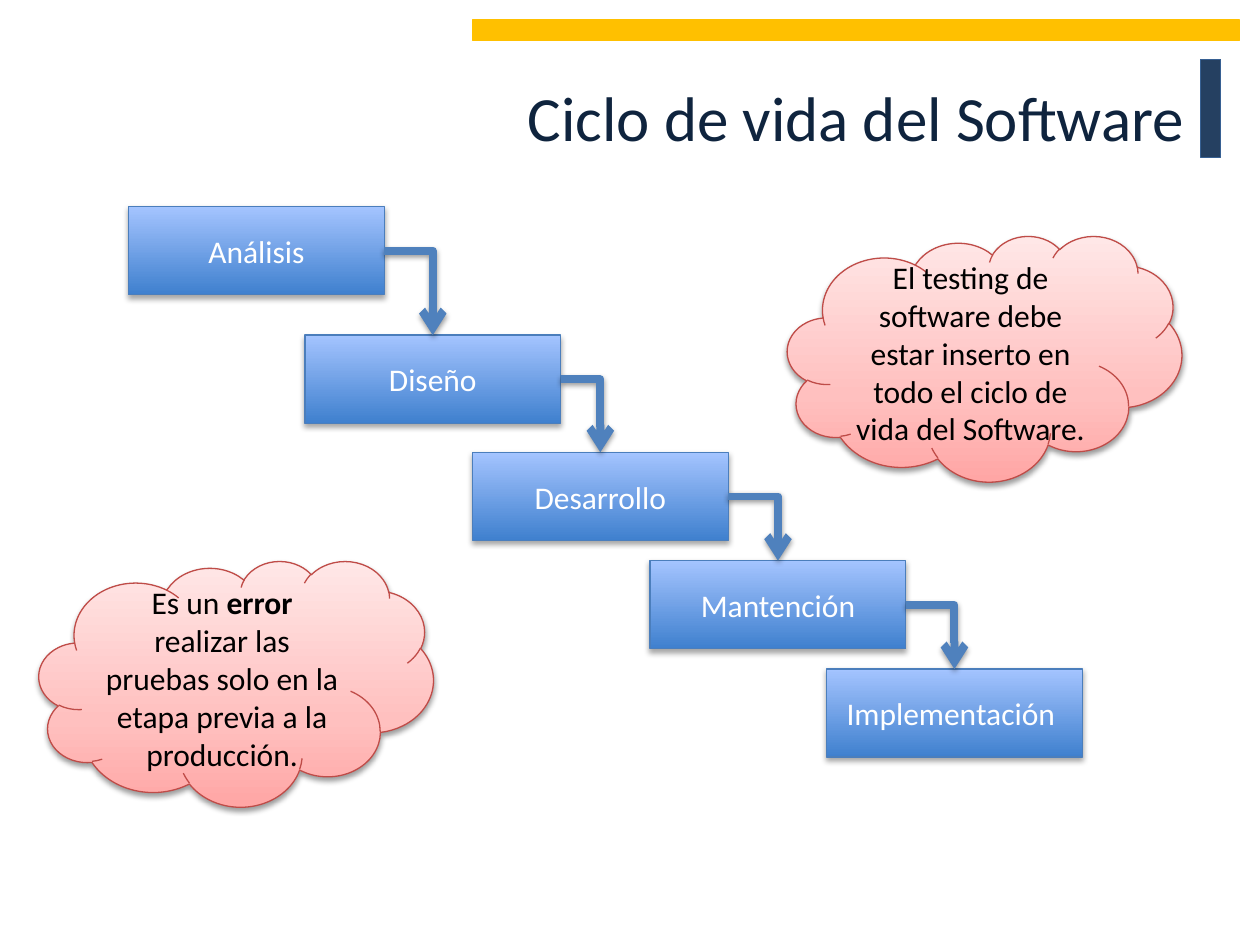
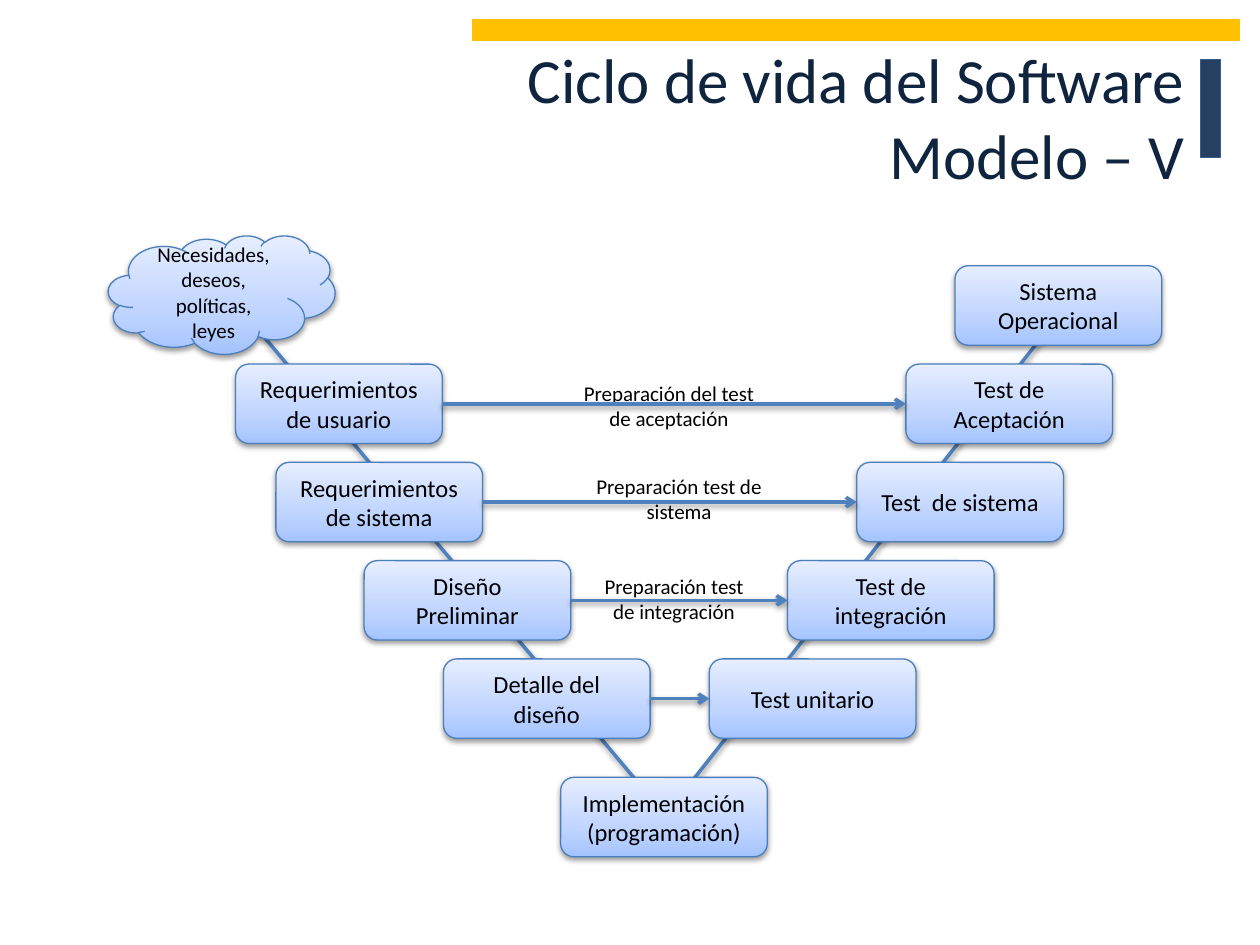
from lxml import etree
from pptx import Presentation
from pptx.dml.color import RGBColor
from pptx.enum.shapes import MSO_CONNECTOR, MSO_SHAPE
from pptx.enum.text import MSO_ANCHOR, MSO_AUTO_SIZE, PP_ALIGN
from pptx.oxml.ns import qn
from pptx.util import Inches, Pt

RECT, ROUNDED, CLOUD = MSO_SHAPE.RECTANGLE, MSO_SHAPE.ROUNDED_RECTANGLE, MSO_SHAPE.CLOUD
STRAIGHT, ELBOW = MSO_CONNECTOR.STRAIGHT, MSO_CONNECTOR.ELBOW
CENTER, RIGHT = PP_ALIGN.CENTER, PP_ALIGN.RIGHT
TOP_SIDE, LEFT_SIDE, RIGHT_SIDE = 0, 1, 3
TITLE_ONLY = 5

# Content: waterfall slide
WATERFALL_TITLE = "Ciclo de vida del Software"
STEPS = [  # text, left, top
    ("Análisis", 1.02, 1.64),
    ("Diseño", 2.42, 2.66),
    ("Desarrollo", 3.75, 3.59),
    ("Mantención", 5.16, 4.45),
    ("Implementación ", 6.56, 5.31),
]
REMARKS = [  # runs (text, bold), left, top
    ([("Es un ", False), ("error", True),
      (" realizar las pruebas solo en la etapa previa a la producción.", False)], 0.31, 4.45),
    ([("El testing de software debe estar inserto en todo el ciclo de vida del Software.",
       False)], 6.25, 1.87),
]

# Content: V model slide
V_TITLE = "Ciclo de vida del Software\vModelo – V"
NEEDS = "Necesidades, deseos, políticas, leyes"
LEVELS = [  # design phase, left, test phase, left
    ("Requerimientos de usuario", 1.87, "Test de Aceptación", 7.19),
    ("Requerimientos de sistema", 2.19, "Test  de sistema", 6.8),
    ("Diseño Preliminar", 2.89, "Test de integración", 6.25),
    ("Detalle del diseño", 3.52, "Test unitario", 5.63),
]
VERTEX = ("Implementación (programación)", 4.45, 6.17)
OPERATION = ("Sistema\nOperacional", 7.58, 2.11)
PREPARATIONS = [  # text, left, top, width
    ("Preparación del test de aceptación", 4.53, 2.97, 1.56),
    ("Preparación test de sistema", 4.61, 3.71, 1.56),
    ("Preparación test de integración", 4.61, 4.5, 1.48),
]
V_ARMS = [(8.28, 2.66, 5.39, 6.33), (1.95, 2.5, 5.23, 6.41)]

# Layout rules, in inches
STEP_SIZE, REMARK_SIZE, PHASE_SIZE = (2.03, 0.7), (3.13, 1.95), (1.64, 0.63)
LEVEL_TOP, LEVEL_PITCH = 2.89, 0.78


class Theme:
    font = "Calibri"
    title, text, text_on_step = "0F243E", "000000", "FFFFFF"
    connector = "4F81BD"
    title_size, step_size, phase_size, label_size = 36, 18, 14, 12
    outline = 0.75
    shadow_blur = 3.15
    # Gradient stops run from bottom to top; shadow is (opacity %, distance)
    step = {"stops": [(0, "3F80CE"), (100, "A4C4FF")], "line": "4B7EBC", "shadow": (35, 1.8)}
    phase = {"stops": [(0, "A4C4FF"), (35, "BFD4FF"), (100, "E6EEFF")],
             "line": "4B7EBC", "shadow": (38, 1.6)}
    remark = {"stops": [(0, "FFA6A5"), (35, "FFC0BF"), (100, "FFE7E7")],
              "line": "BF4C48", "shadow": (38, 1.6)}
    bands = [  # fill, line, box
        ("254061", "376092", (9.53, 0.47, 0.16, 0.78)),
        ("FFC000", "FFC000", (3.75, 0.16, 6.09, 0.16)),
    ]


def inches(values):
    return [Inches(value) for value in values]


def child(parent, tag, **attributes):
    element = etree.SubElement(parent, qn(tag))
    for key, value in attributes.items():
        element.set(key, str(value))
    return element


def write(frame, text, size, color, align=CENTER):
    """Fill a text frame from a string or from (text, bold) runs."""
    frame.word_wrap = True
    if isinstance(text, str):
        frame.text = text
    else:
        for words, bold in text:
            run = frame.paragraphs[0].add_run()
            run.text, run.font.bold = words, bold
    for paragraph in frame.paragraphs:
        paragraph.alignment = align
        for run in paragraph.runs:
            for key, value in {"name": Theme.font, "size": Pt(size)}.items():
                setattr(run.font, key, value)
            run.font.color.rgb = RGBColor.from_string(color)


def set_line(line, color, width):
    line.color.rgb = RGBColor.from_string(color)
    line.width = Pt(width)


def cast_shadow(effects, opacity, distance):
    shadow = child(effects, "a:outerShdw", blurRad=Pt(Theme.shadow_blur), dist=Pt(distance),
                   dir=5400000, rotWithShape=0)
    black = child(shadow, "a:srgbClr", val="000000")
    child(black, "a:alpha", val=opacity * 1000)


def add_block(slide, kind, box, look, text, size, color=Theme.text):
    """Add a preset shape with gradient, outline, shadow and text."""
    block = slide.shapes.add_shape(kind, *inches(box))
    block.fill.gradient()
    properties = block.element.spPr
    gradient = properties.find(qn("a:gradFill"))
    stops = gradient.find(qn("a:gsLst"))
    for stop in list(stops):
        stops.remove(stop)
    for position, stop_color in look["stops"]:
        child(child(stops, "a:gs", pos=position * 1000), "a:srgbClr", val=stop_color)
    gradient.find(qn("a:lin")).set("ang", "16200000")
    set_line(block.line, look["line"], Theme.outline)
    block.shadow.inherit = False
    cast_shadow(properties.find(qn("a:effectLst")), *look["shadow"])
    write(block.text_frame, text, size, color)
    return block


def add_link(slide, width, ends=(0, 0, 0, 0), kind=STRAIGHT, arrow=False):
    link = slide.shapes.add_connector(kind, *inches(ends))
    set_line(link.line, Theme.connector, width)
    properties = link.element.spPr
    if arrow:
        child(properties.find(qn("a:ln")), "a:tailEnd", type="arrow")
    cast_shadow(child(properties, "a:effectLst"), 38, 1.6)
    return link


def add_titled_slide(deck, title):
    slide = deck.slides.add_slide(deck.slide_layouts[TITLE_ONLY])
    heading = slide.shapes.title
    place = dict(zip(("left", "top", "width", "height"), inches((0.5, 0.3, 9, 1.25))))
    for key, value in place.items():
        setattr(heading, key, value)
    frame = heading.text_frame
    frame.auto_size = MSO_AUTO_SIZE.NONE
    frame.vertical_anchor = MSO_ANCHOR.MIDDLE
    write(frame, title, Theme.title_size, Theme.title, RIGHT)
    return slide


def move_bands_to_layout(slide):
    """Draw the shared bands once and keep them on the layout."""
    for fill, line, box in Theme.bands:
        band = slide.shapes.add_shape(RECT, *inches(box))
        band.fill.solid()
        band.fill.fore_color.rgb = RGBColor.from_string(fill)
        set_line(band.line, line, Theme.outline)
        band.shadow.inherit = False
        slide.slide_layout.shapes.element.append(band.element)


def build_waterfall(deck):
    slide = add_titled_slide(deck, WATERFALL_TITLE)
    move_bands_to_layout(slide)
    steps = [add_block(slide, RECT, (left, top, *STEP_SIZE), Theme.step, text,
                       Theme.step_size, Theme.text_on_step)
             for text, left, top in STEPS]
    # Each step drops from its right side into the top of the next one
    for step, following in zip(steps, steps[1:]):
        drop = add_link(slide, 4.5, kind=ELBOW, arrow=True)
        drop.begin_connect(step, RIGHT_SIDE)
        drop.end_connect(following, TOP_SIDE)
        drop.element.spPr.find(qn("a:prstGeom")).set("prst", "bentConnector2")
    for runs, left, top in REMARKS:
        add_block(slide, CLOUD, (left, top, *REMARK_SIZE), Theme.remark, runs, Theme.step_size)


def build_v_model(deck):
    slide = add_titled_slide(deck, V_TITLE)
    for arm in V_ARMS:
        add_link(slide, 2, arm)
    add_block(slide, CLOUD, (0.86, 1.87, 1.8, 0.94), Theme.phase, NEEDS, Theme.label_size)

    def add_phase(text, left, top):
        return add_block(slide, ROUNDED, (left, top, *PHASE_SIZE), Theme.phase, text,
                         Theme.phase_size)

    # Phases of both arms, level by level
    pairs = []
    for row, (design, design_left, test, test_left) in enumerate(LEVELS):
        top = LEVEL_TOP + row * LEVEL_PITCH
        pairs.append((add_phase(design, design_left, top), add_phase(test, test_left, top)))
    add_phase(*VERTEX)
    add_phase(*OPERATION)

    # Test preparation between the arms
    for text, left, top, width in PREPARATIONS:
        label = slide.shapes.add_textbox(*inches((left, top, width, 0.5)))
        write(label.text_frame, text, Theme.label_size, Theme.text)
        label.text_frame.auto_size = MSO_AUTO_SIZE.SHAPE_TO_FIT_TEXT
    for design, test in pairs:
        preparation = add_link(slide, 2, arrow=True)
        preparation.begin_connect(design, RIGHT_SIDE)
        preparation.end_connect(test, LEFT_SIDE)


def main():
    deck = Presentation()
    deck.slide_width, deck.slide_height = inches((10, 7.5))
    build_waterfall(deck)
    build_v_model(deck)
    deck.save("out.pptx")


if __name__ == "__main__":
    main()
